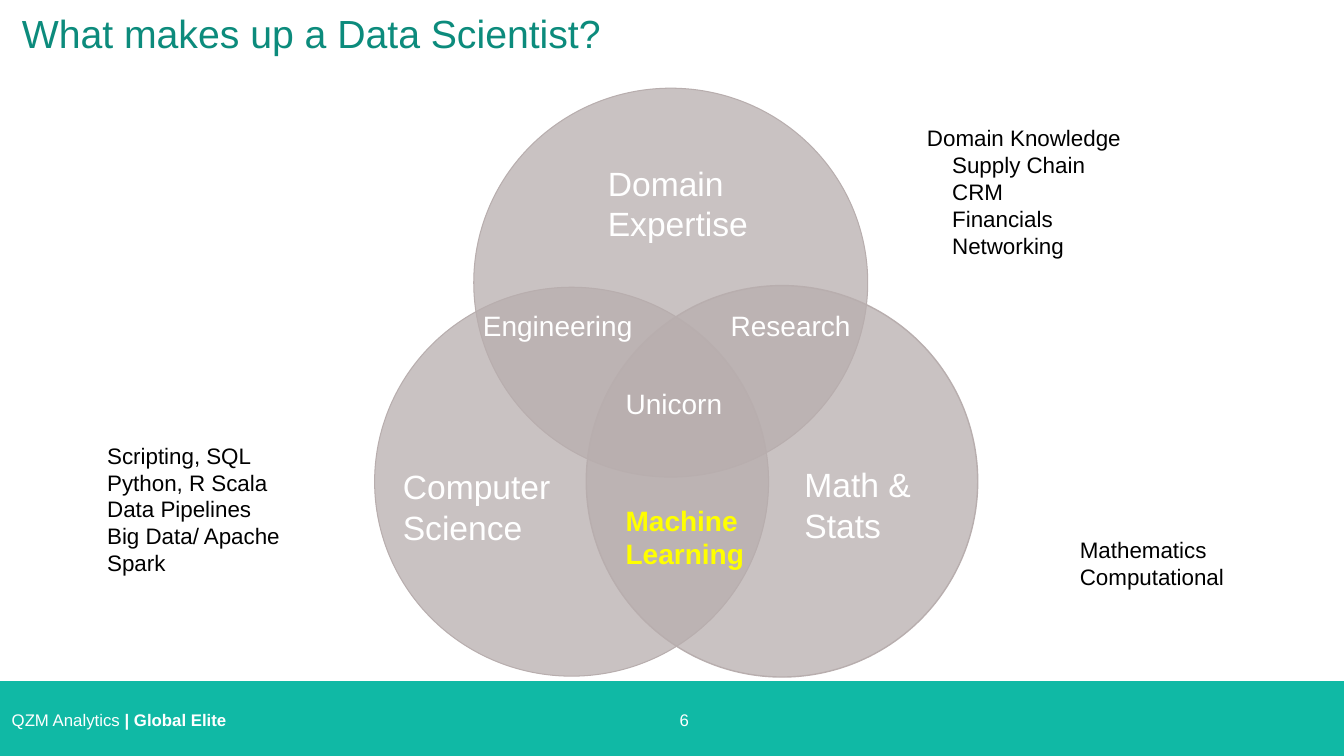
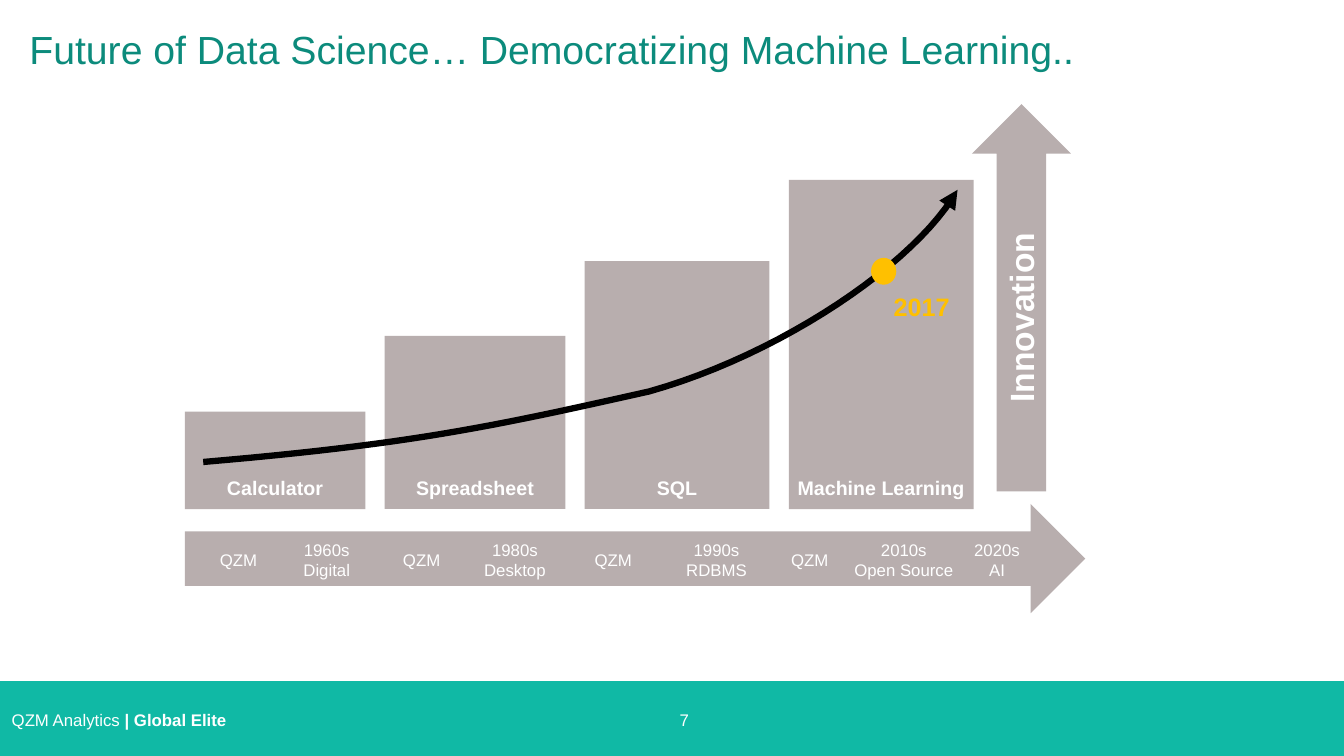
from dataclasses import dataclass
from typing import Any, Optional, Sequence

import pptx
import pptx.dml.color
import pptx.enum.shapes
import pptx.enum.text
import pptx.oxml
import pptx.oxml.ns
import pptx.util

SHAPE = pptx.enum.shapes.MSO_SHAPE
ALIGN = pptx.enum.text.PP_ALIGN
ANCHOR = pptx.enum.text.MSO_ANCHOR
DRAWING_NS = pptx.oxml.ns.nsdecls("a")

# The slide is a grid of 160 columns by 90 rows of square cells
COLUMNS, ROWS = 160, 90
CELL = pptx.util.Inches(1) // 12


@dataclass(frozen=True)
class Theme:
    font: str = "Arial"
    teal: str = "10B9A5"
    title: str = "0C8B7C"
    stone: str = "B8AEAE"
    white: str = "FFFFFF"
    black: str = "000000"
    yellow: str = "FFFF00"
    amber: str = "FFC000"
    title_size: int = 28
    heading_size: int = 24
    overlap_size: int = 20
    year_size: int = 18
    list_size: int = 16
    bar_size: int = 14
    small_size: int = 12


THEME = Theme()
TIGHT = (0.03, 0.03, 0.03, 0.03)
FOOTER_INSETS = (0, 0.05, 0.1, 0.05)
NO_INSETS = (0, 0, 0, 0)


@dataclass(frozen=True)
class Box:
    """An area in grid cells."""
    left: float
    top: float
    width: float
    height: float

    def emu(self) -> tuple[int, ...]:
        return tuple(round(side * CELL) for side in
                     (self.left, self.top, self.width, self.height))


@dataclass(frozen=True)
class Label:
    lines: Sequence[str]
    box: Box
    color: str = THEME.white
    bold: bool = False


@dataclass(frozen=True)
class SkillList:
    placeholder: int
    lines: Sequence[str]
    box: Box
    indent: float = 0


@dataclass(frozen=True)
class Era:
    tool: str
    width: float
    top: float
    maker_center: float
    decade: str
    technology: str
    decade_center: float


def rgb(color: str) -> pptx.dml.color.RGBColor:
    return pptx.dml.color.RGBColor.from_string(color)


def write(target: Any, lines: Sequence[str], *, size: int,
          color: str = THEME.white, bold: bool = False, bold_tail: str = "",
          align: Any = ALIGN.LEFT, anchor: Any = ANCHOR.TOP,
          insets: Sequence[float] = (0.1, 0.05, 0.1, 0.05),
          spacing: float = 1.0, indent: float = 0) -> None:
    """Fill a shape with unbulleted paragraphs; indent applies after the first."""
    frame = target.text_frame
    frame.word_wrap = True
    frame.auto_size = pptx.enum.text.MSO_AUTO_SIZE.NONE
    frame.vertical_anchor = anchor
    (frame.margin_left, frame.margin_top, frame.margin_right,
     frame.margin_bottom) = map(pptx.util.Inches, insets)
    for index, line in enumerate(lines):
        paragraph = frame.add_paragraph() if index else frame.paragraphs[0]
        properties = paragraph._p.get_or_add_pPr()
        properties.set("marL", str(pptx.util.Inches(indent if index else 0)))
        properties.set("indent", "0")
        properties.append(pptx.oxml.parse_xml(f"<a:buNone {DRAWING_NS}/>"))
        paragraph.alignment = align
        paragraph.line_spacing = spacing
        paragraph.space_before = pptx.util.Pt(0)
        pieces = [(line, bold)]
        if bold_tail and index == len(lines) - 1:
            pieces.append((bold_tail, True))
        for words, is_bold in pieces:
            run = paragraph.add_run()
            run.text = words
            run.font.name = THEME.font
            run.font.size = pptx.util.Pt(size)
            run.font.bold = is_bold
            run.font.color.rgb = rgb(color)


def add_text(slide: Any, lines: Sequence[str], box: Box, **text_format: Any) -> Any:
    text_box = slide.shapes.add_textbox(*box.emu())
    write(text_box, lines, **text_format)
    return text_box


def add_solid(slide: Any, preset: Any, box: Box, color: str) -> Any:
    solid = slide.shapes.add_shape(preset, *box.emu())
    solid.shadow.inherit = False
    solid.fill.solid()
    solid.fill.fore_color.rgb = rgb(color)
    solid.line.fill.background()
    return solid


def fill_placeholder(placeholder: Any, lines: Sequence[str], box: Box,
                     **text_format: Any) -> None:
    (placeholder.left, placeholder.top,
     placeholder.width, placeholder.height) = box.emu()
    write(placeholder, lines, **text_format)


def add_slide(deck: Any, layout: int, title: str, title_box: Box, number: int) -> Any:
    """Start a slide with the shared title style and footer band."""
    slide = deck.slides.add_slide(deck.slide_layouts[layout])
    fill_placeholder(slide.shapes.title, [title], title_box,
                     size=THEME.title_size, color=THEME.title, spacing=0.9)
    add_solid(slide, SHAPE.RECTANGLE, Box(0, 81.1, COLUMNS, ROWS - 81.1), THEME.teal)
    footer = dict(size=THEME.small_size, anchor=ANCHOR.MIDDLE, insets=FOOTER_INSETS)
    add_text(slide, ["QZM Analytics "], Box(1.4, 84.1, 36, 3.2),
             bold_tail="| Global Elite", **footer)
    add_text(slide, [str(number)], Box(78.2, 84.1, 7.7, 3.2),
             align=ALIGN.CENTER, **footer)
    return slide


# Venn diagram: circles with their outline widths, then labels
CIRCLES = [
    (Box(56.4, 10.5, 46.9, 46.3), 0.75),
    (Box(69.8, 34, 46.6, 46.6), 1),
    (Box(44.6, 34.2, 46.9, 46.3), 0.75),
]
FIELDS = [
    Label(["Math & Stats"], Box(95.4, 56.2, 16.4, 7.7)),
    Label(["Computer", "Science"], Box(47.6, 56.2, 24.1, 8.2)),
    Label(["Domain Expertise"], Box(72, 20.4, 20, 7.6)),
]
OVERLAPS = [
    Label(["Unicorn"], Box(73.3, 45.4, 18.2, 5.3)),
    Label(["Machine", "Learning"], Box(73.3, 59.3, 18.2, 9.2), THEME.yellow, True),
    Label(["Research"], Box(85.8, 36.1, 19.1, 5.3)),
    Label(["Engineering"], Box(56.3, 36.1, 22.9, 5.3)),
]
SKILLS = [
    SkillList(1, ["Scripting, SQL", "Python, R Scala", "Data Pipelines",
                  "Big Data/ Apache Spark"], Box(12.4, 50.6, 21.4, 20)),
    SkillList(2, ["Mathematics", "Computational"], Box(128.2, 63.5, 22, 7)),
    SkillList(4, ["Domain Knowledge", "Supply Chain", "CRM", "Financials",
                  "Networking"], Box(110, 14.9, 43.4, 15.8), indent=0.25),
]


def build_venn(deck: Any) -> None:
    slide = add_slide(deck, 4, "What makes up a Data Scientist?",
                      Box(1.4, 1.1, 108.6, 9.1), 6)
    for box, outline in CIRCLES:
        circle = add_solid(slide, SHAPE.OVAL, box, THEME.stone)
        fill_color = circle.fill._xPr.find(".//" + pptx.oxml.ns.qn("a:srgbClr"))
        fill_color.append(pptx.oxml.parse_xml(f'<a:alpha {DRAWING_NS} val="75000"/>'))
        circle.line.color.rgb = rgb(THEME.stone)
        circle.line.width = pptx.util.Pt(outline)
    for field in FIELDS:
        add_text(slide, field.lines, field.box, size=THEME.heading_size,
                 anchor=ANCHOR.MIDDLE, insets=TIGHT)
    for overlap in OVERLAPS:
        add_text(slide, overlap.lines, overlap.box, size=THEME.overlap_size,
                 color=overlap.color, bold=overlap.bold)
    # Skills listed beside each circle
    bodies = {body.placeholder_format.idx: body for body in slide.placeholders}
    for skills in SKILLS:
        fill_placeholder(bodies[skills.placeholder], skills.lines, skills.box,
                         size=THEME.list_size, color=THEME.black, indent=skills.indent,
                         anchor=ANCHOR.MIDDLE, insets=TIGHT)
    unused = bodies[3].element
    unused.getparent().remove(unused)


# Growth chart: one bar and one stretch of the timeline per era
ERAS = [
    Era("Calculator", 21.5, 49, 28.4, "1960s", "Digital", 38.9),
    Era("Spreadsheet", 21.5, 40, 50.2, "1980s", "Desktop", 61.3),
    Era("SQL", 22, 31.1, 73, "1990s", "RDBMS", 85.3),
    Era("Machine Learning", 22, 21.4, 96.4, "2010s", "Open Source", 107.6),
]
FIRST_BAR, BAR_GAP, BAR_BASE = 22, 2.3, 60.6
Point = tuple[float, float]
GROWTH: list[tuple[Point, Point, Point, Point]] = [
    ((24.2, 55), (48.7, 52.9), (58.2, 50.9), (77.3, 46.6)),
    ((77.3, 46.6), (93, 42.2), (109.1, 31.3), (114, 22.6)),
]


def bezier(corners: Sequence[Point], share: float) -> Point:
    rest = 1 - share
    weights = (rest ** 3, 3 * rest ** 2 * share, 3 * rest * share ** 2, share ** 3)
    x, y = (sum(weight * corner[axis] for weight, corner in zip(weights, corners))
            for axis in (0, 1))
    return x * CELL, y * CELL


def add_growth_curve(slide: Any, steps: int = 24) -> None:
    outline = slide.shapes.build_freeform(*map(round, bezier(GROWTH[0], 0)))
    outline.add_line_segments([bezier(section, step / steps) for section in GROWTH
                               for step in range(1, steps + 1)], close=False)
    curve = outline.convert_to_shape()
    curve.shadow.inherit = False
    curve.fill.background()
    curve.line.color.rgb = rgb(THEME.black)
    curve.line.width = pptx.util.Pt(4.5)
    curve.line._get_or_add_ln().append(
        pptx.oxml.parse_xml(f'<a:tailEnd {DRAWING_NS} type="triangle"/>'))


def add_timeline_label(slide: Any, center: float, *lines: str,
                       color: Optional[str] = None) -> None:
    add_text(slide, lines, Box(center - 7, 64.7, 14, 3.8), size=THEME.small_size,
             color=color or THEME.white, align=ALIGN.CENTER,
             anchor=ANCHOR.MIDDLE, insets=NO_INSETS)


def build_growth(deck: Any) -> None:
    slide = add_slide(deck, 5, "Future of Data Science… Democratizing Machine Learning..",
                      Box(2.3, 3.1, 146.4, 6.8), 7)
    add_solid(slide, SHAPE.RIGHT_ARROW, Box(FIRST_BAR, 60, 107.2, 13), THEME.stone)
    left = FIRST_BAR
    for era in ERAS:
        add_solid(slide, SHAPE.RECTANGLE,
                  Box(left, era.top, era.width, BAR_BASE - era.top), THEME.stone)
        add_text(slide, [era.tool], Box(left + era.width / 2 - 15, 56.1, 30, 4.1),
                 size=THEME.bar_size, bold=True, align=ALIGN.CENTER)
        add_timeline_label(slide, era.maker_center, "QZM")
        add_timeline_label(slide, era.decade_center, era.decade, era.technology)
        left += era.width + BAR_GAP
    add_timeline_label(slide, 118.7, "2020s", "AI")
    add_growth_curve(slide)

    # Innovation arrow
    add_solid(slide, SHAPE.UP_ARROW, Box(115.7, 12.4, 11.8, 46.1), THEME.stone)
    innovation = add_text(slide, ["Innovation"], Box(110.9, 35.9, 21.2, 3.8),
                          size=THEME.heading_size, bold=True, align=ALIGN.CENTER,
                          anchor=ANCHOR.MIDDLE, insets=NO_INSETS)
    innovation.rotation = 270

    # Present-day marker
    add_solid(slide, SHAPE.OVAL, Box(103.7, 30.7, 3, 3.2), THEME.amber)
    add_text(slide, ["2017"], Box(105.2, 34.1, 11, 4.1), size=THEME.year_size,
             color=THEME.amber, bold=True)


def main() -> None:
    deck = pptx.Presentation()
    deck.slide_width, deck.slide_height = COLUMNS * CELL, ROWS * CELL
    build_venn(deck)
    build_growth(deck)
    deck.save("out.pptx")


if __name__ == "__main__":
    main()
